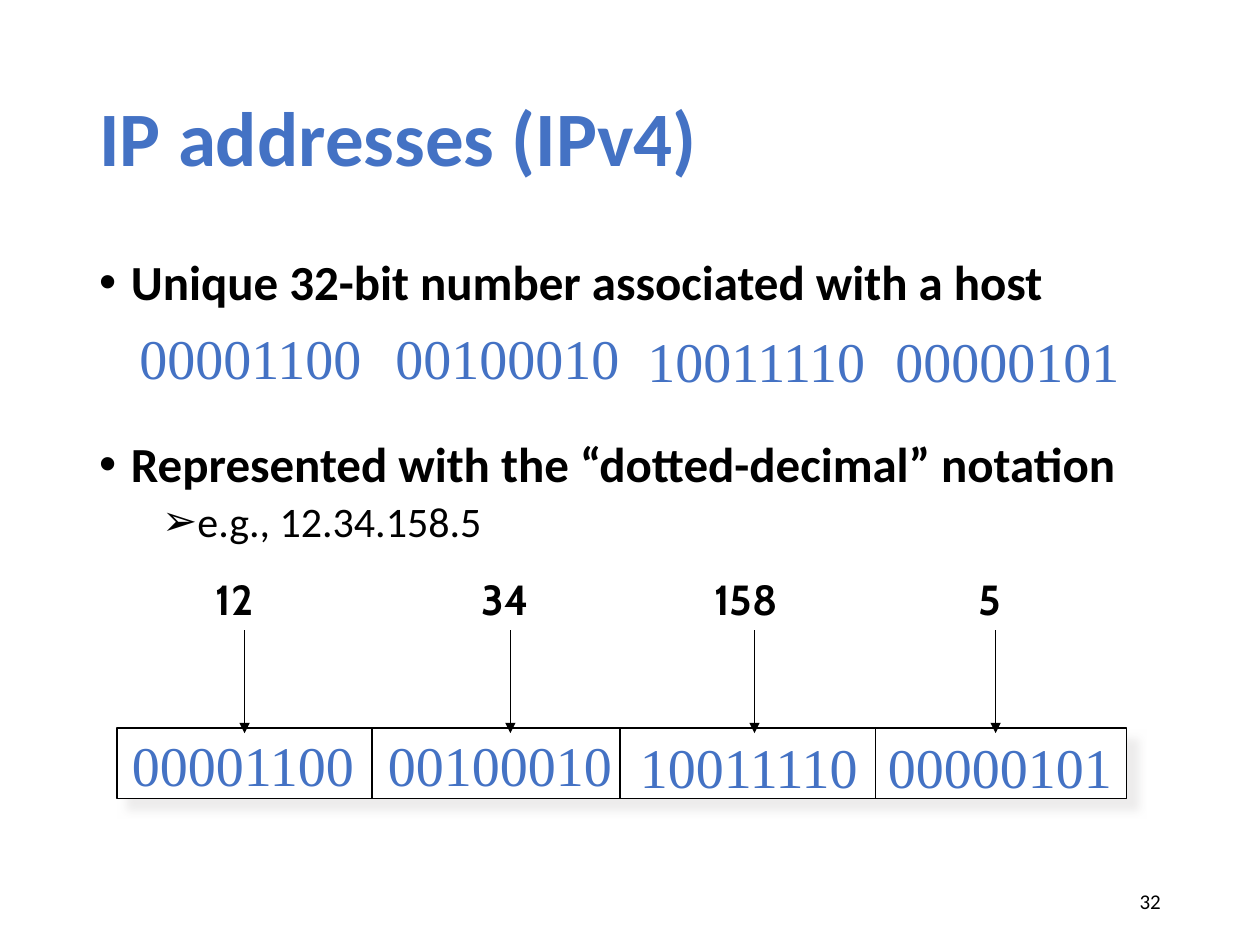
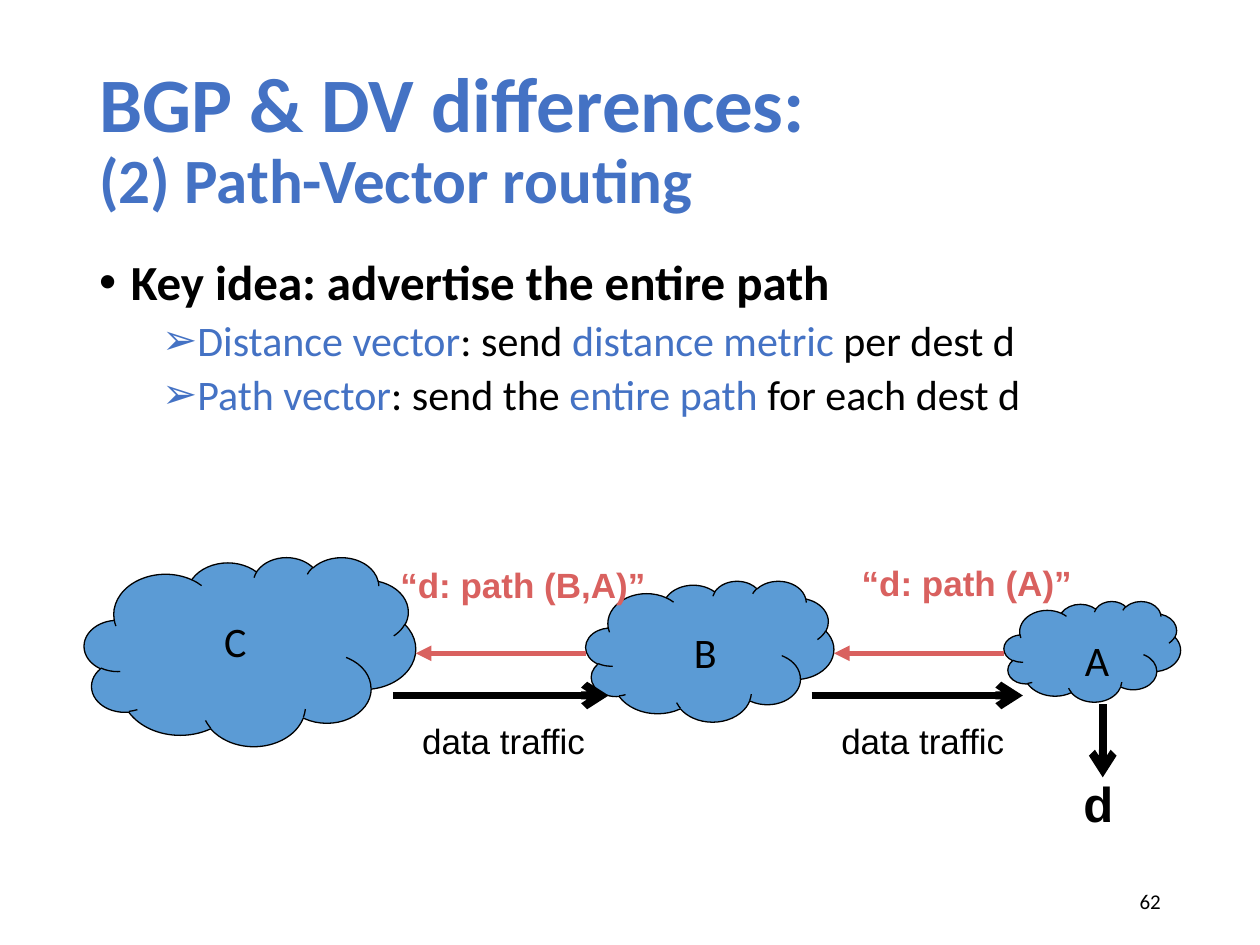
from dataclasses import dataclass

from lxml.etree import SubElement
from pptx import Presentation
from pptx.dml.color import RGBColor
from pptx.enum.shapes import MSO_CONNECTOR, MSO_SHAPE
from pptx.enum.text import MSO_ANCHOR, MSO_AUTO_SIZE, PP_ALIGN
from pptx.oxml.ns import qn
from pptx.util import Cm, Pt


@dataclass(frozen=True)
class Theme:
    accent: str = "4472C4"
    ink: str = "000000"
    paper: str = "FFFFFF"
    cloud: str = "5B9BD5"
    advert: str = "D9615F"
    shadow: str = "E7E6E6"
    body_font: str = "Calibri"
    label_font: str = "Arial"
    bits_font: str = "Times New Roman"
    decimal_font: str = "Cabin"
    title: int = 44
    subtitle: int = 36
    bullet: int = 28
    detail: int = 24
    bits: int = 32
    label: int = 20
    number: int = 12


THEME = Theme()

# All positions and lengths below are centimetres.
TITLE_BOX = (1.75, 1.02, 21.9, 3.68)
BODY_BOX = (1.75, 5.08, 21.9, 12.09)
NUMBER_BOX = (17.93, 17.65, 5.72, 1.02)

# Per level: bullet sign, left indent, size, bold, space before in points
LEVELS = [
    ("•", 0.64, THEME.bullet, True, 10),
    ("➢", 1.91, THEME.detail, False, 5),
]

ADDRESSING = {
    "title": [("IP addresses (IPv4)", THEME.title)],
    "number": "32",
    "gap": 73.5,  # room for the row of bits below the first bullet
    "bullets": [
        (0, [("Unique 32-bit number associated with a host", THEME.ink)]),
        (0, [("Represented with the “dotted-decimal” notation", THEME.ink)]),
        (1, [("e.g., 12.34.158.5", THEME.ink)]),
    ],
}
# bits, left, width, drop, decimal, decimal width, arrow x
OCTETS = [
    ("00001100", 2.41, 5.03, 0, "12", 1.45, 4.93),
    ("00100010", 7.57, 5.08, 0, "34", 1.45, 10.29),
    ("10011110", 12.65, 4.95, 0.05, "158", 1.93, 15.21),
    ("00000101", 17.65, 5.08, 0.05, "5", 0.99, 20.07),
]
ADDRESS_BAR = (2.36, 14.68, 20.35, 1.42)
DIVIDERS = [7.5, 12.5, 17.65]
BIT_ROWS = [(0.15, 6.4), (0, 14.6)]  # shift right, top

ROUTING = {
    "title": [
        ("BGP & DV differences:", THEME.title),
        ("(2) Path-Vector routing", THEME.subtitle),
    ],
    "number": "62",
    "gap": None,
    "bullets": [
        (0, [("Key idea: advertise the entire path", THEME.ink)]),
        (1, [("Distance vector", THEME.accent), (": send ", THEME.ink),
             ("distance metric ", THEME.accent), ("per dest d", THEME.ink)]),
        (1, [("Path vector", THEME.accent), (": send the ", THEME.ink),
             ("entire path ", THEME.accent), ("for each dest d", THEME.ink)]),
    ],
}
# name, cloud box, left and top of the name
NETWORKS = [
    ("C", (1.7, 11.23, 6.68, 3.81), (4.27, 12.29)),
    ("B", (11.81, 11.71, 5.0, 2.84), (13.74, 12.5)),
    ("A", (20.24, 12.12, 3.56, 2.03), (21.62, 12.67)),
]
# text, left, top, width
ADVERTS = [("“d: path (B,A)”", 7.82, 11.23, 5.49),
           ("“d: path (A)”", 17.12, 11.2, 4.78)]
ADVERT_Y = 13.17
TRAFFIC = [("data traffic", 8.26), ("data traffic", 16.71)]
TRAFFIC_ARROWS = [
    ((7.92, 14.02), (12.27, 14.02)),
    ((16.36, 14.02), (20.62, 14.02)),
    ((22.23, 14.2), (22.23, 15.67)),
]
DESTINATION = ("d", (21.59, 15.47, 1.12, 1.45))


def add_run(paragraph, text, font, size, color=THEME.ink, bold=False):
    run = paragraph.add_run()
    run.text = text
    run.font.name = font
    run.font.size = Pt(size)
    run.font.bold = bold
    run.font.color.rgb = RGBColor.from_string(color)


def add_frame(slide, box, anchor=MSO_ANCHOR.TOP):
    frame = slide.shapes.add_textbox(*map(Cm, box)).text_frame
    frame.word_wrap = True
    frame.vertical_anchor = anchor
    return frame


def add_label(slide, text, box, font, size, color=THEME.ink, bold=False):
    """Add one unwrapped line of text."""
    frame = add_frame(slide, box)
    frame.word_wrap = False
    frame.auto_size = MSO_AUTO_SIZE.SHAPE_TO_FIT_TEXT
    add_run(frame.paragraphs[0], text, font, size, color, bold)


def add_line(slide, start, end, width, color=THEME.ink, arrowhead=None):
    line = slide.shapes.add_connector(
        MSO_CONNECTOR.STRAIGHT, *map(Cm, (*start, *end)))
    line.line.width = Pt(width)
    line.line.color.rgb = RGBColor.from_string(color)
    properties = line.element.spPr
    if arrowhead:
        SubElement(properties.find(qn("a:ln")), qn("a:tailEnd"), type=arrowhead)
    SubElement(properties, qn("a:effectLst"))


def add_outlined(slide, kind, box, fill, width):
    shape = slide.shapes.add_shape(kind, *map(Cm, box))
    shape.shadow.inherit = False
    shape.fill.solid()
    shape.fill.fore_color.rgb = RGBColor.from_string(fill)
    shape.line.color.rgb = RGBColor.from_string(THEME.ink)
    shape.line.width = Pt(width)
    return shape


def cast_shadow(shape):
    effects = shape.element.spPr.find(qn("a:effectLst"))
    shadow = SubElement(effects, qn("a:outerShdw"), blurRad=str(Pt(5)),
                        dist=str(Pt(8.5)), dir="2700000", algn="tl",
                        rotWithShape="0")
    color = SubElement(shadow, qn("a:srgbClr"), val=THEME.shadow)
    SubElement(color, qn("a:alpha"), val="75000")


def add_bullet(paragraph, level, runs, space_before):
    sign, indent, size, bold, _ = LEVELS[level]
    properties = paragraph._p.get_or_add_pPr()
    properties.set("marL", str(Cm(indent)))
    properties.set("indent", str(Cm(-0.64)))
    SubElement(properties, qn("a:buFont"), typeface=THEME.label_font)
    SubElement(properties, qn("a:buChar"), char=sign)
    paragraph.level = level
    paragraph.line_spacing = 0.9
    paragraph.space_before = Pt(space_before)
    for text, color in runs:
        add_run(paragraph, text, THEME.body_font, size, color, bold)


def add_content_slide(deck, content):
    """Add a slide with title, bullets and slide number."""
    slide = deck.slides.add_slide(deck.slide_layouts[6])

    heading = add_frame(slide, TITLE_BOX, MSO_ANCHOR.MIDDLE).paragraphs[0]
    heading.line_spacing = 0.9
    for i, (text, size) in enumerate(content["title"]):
        if i:
            heading.add_line_break()
        add_run(heading, text, THEME.body_font, size, THEME.accent, True)

    body = add_frame(slide, BODY_BOX)
    for i, (level, runs) in enumerate(content["bullets"]):
        paragraph = body.add_paragraph() if i else body.paragraphs[0]
        space = LEVELS[level][4] if i else 0
        if i == 1 and content["gap"]:
            space = content["gap"]
        add_bullet(paragraph, level, runs, space)

    number = add_frame(slide, NUMBER_BOX, MSO_ANCHOR.MIDDLE).paragraphs[0]
    number.alignment = PP_ALIGN.RIGHT
    add_run(number, content["number"], THEME.body_font, THEME.number)
    return slide


def draw_address(slide):
    bar = add_outlined(slide, MSO_SHAPE.RECTANGLE, ADDRESS_BAR, THEME.paper, 1)
    cast_shadow(bar)
    _, top, _, height = ADDRESS_BAR
    for x in DIVIDERS:
        add_line(slide, (x, top), (x, top + height), 1)
    for bits, left, width, drop, decimal, decimal_width, arrow_x in OCTETS:
        for shift, row_top in BIT_ROWS:
            add_label(slide, bits, (left + shift, row_top + drop, width, 1.62),
                      THEME.bits_font, THEME.bits, THEME.accent)
        decimal_left = arrow_x - decimal_width / 2 - 0.1
        add_label(slide, decimal, (decimal_left, 11.43, decimal_width, 1.27),
                  THEME.decimal_font, THEME.detail, bold=True)
        add_line(slide, (arrow_x, 12.7), (arrow_x, 14.78), 0.75,
                 arrowhead="triangle")


def draw_route(slide):
    for name, box, corner in NETWORKS:
        add_outlined(slide, MSO_SHAPE.CLOUD, box, THEME.cloud, 0.75)
        add_label(slide, name, (*corner, 1.14, 1.27),
                  THEME.body_font, THEME.detail)
    for start, end in TRAFFIC_ARROWS:
        add_line(slide, start, end, 4.5, arrowhead="arrow")
    for text, left, top, width in ADVERTS:
        add_label(slide, text, (left, top, width, 1.12),
                  THEME.label_font, THEME.label, THEME.advert, True)
    for (_, receiver, _), (_, sender, _) in zip(NETWORKS, NETWORKS[1:]):
        receiver_right = receiver[0] + receiver[2]
        add_line(slide, (sender[0], ADVERT_Y), (receiver_right, ADVERT_Y), 3,
                 THEME.advert, "triangle")
    for text, left in TRAFFIC:
        add_label(slide, text, (left, 14.38, 3.81, 1.12),
                  THEME.label_font, THEME.label)
    text, box = DESTINATION
    add_label(slide, text, box, THEME.label_font, THEME.bullet, bold=True)


def main():
    deck = Presentation()
    deck.slide_width, deck.slide_height = Cm(25.4), Cm(19.05)
    draw_address(add_content_slide(deck, ADDRESSING))
    draw_route(add_content_slide(deck, ROUTING))
    deck.save("out.pptx")


if __name__ == "__main__":
    main()
